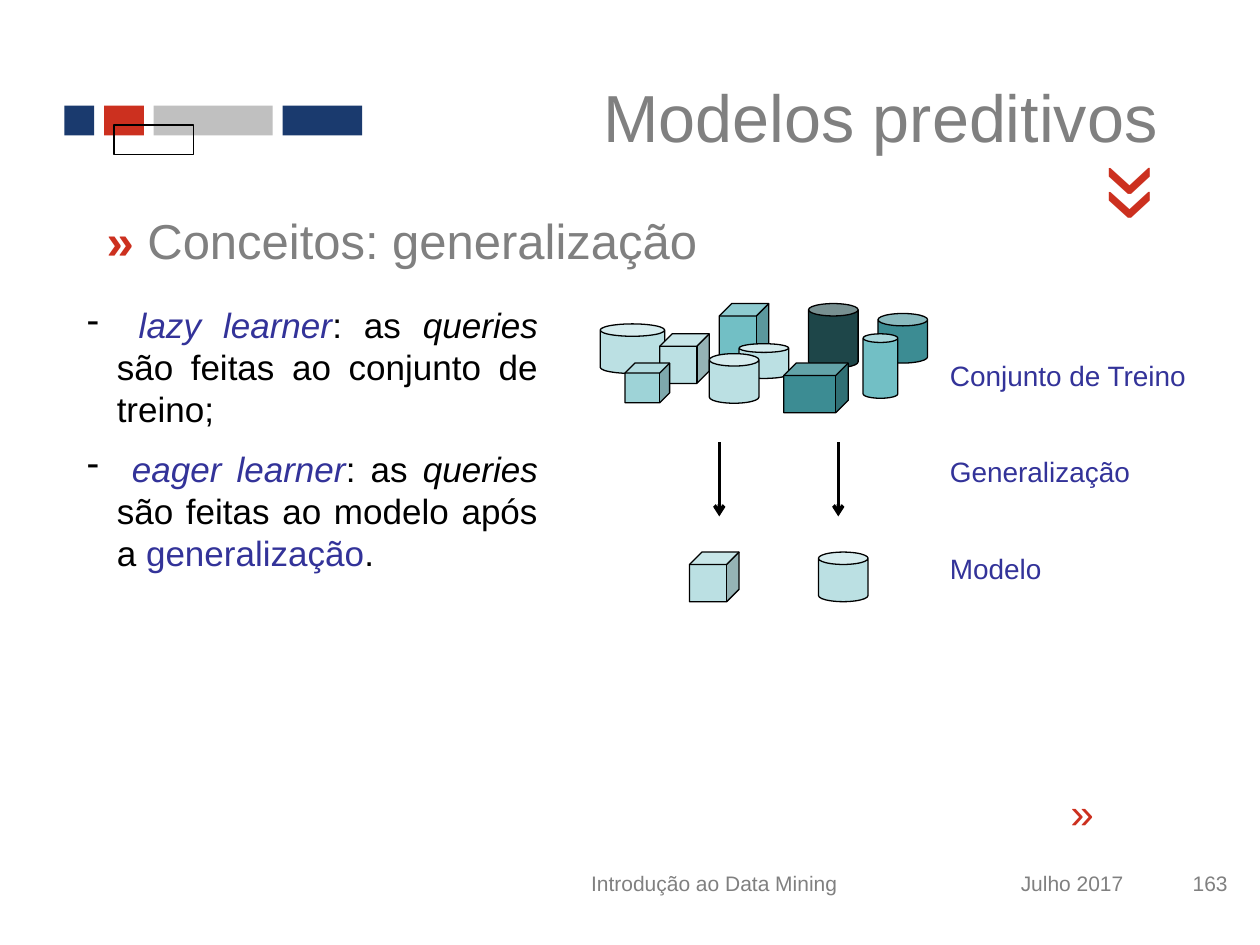
from dataclasses import dataclass, field

from lxml.etree import SubElement
from pptx import Presentation
from pptx.dml.color import RGBColor
from pptx.enum.shapes import MSO_CONNECTOR, MSO_SHAPE as Shape
from pptx.enum.text import MSO_ANCHOR as Anchor, MSO_AUTO_SIZE as AutoSize, PP_ALIGN as Align
from pptx.oxml.ns import qn
from pptx.util import Cm, Pt

COLORS = {
    "navy": "1A3A6E", "red": "CC301F", "silver": "C0C0C0", "gray": "808080",
    "black": "000000", "indigo": "333399", "pale": "BBE0E3", "light": "9ED3D7",
    "aqua": "72BFC5", "teal": "3C8C93", "dark": "1E4649",
}


@dataclass
class Block:
    """A filled or outlined preset shape, in centimetres."""
    left: float
    top: float
    width: float
    height: float
    fill: str | None
    kind: Shape = Shape.RECTANGLE
    outlined: bool = True


@dataclass
class Span:
    """A run of text with its format values."""
    text: str
    color: str = "gray"
    fmt: dict = field(default_factory=dict)


@dataclass
class Label:
    """A text with its place in centimetres; each paragraph is a list of spans."""
    left: float
    top: float
    width: float
    height: float
    size: float
    paragraphs: list[list[Span]]
    align: Align = Align.LEFT
    anchor: Anchor = Anchor.TOP
    rotation: float = 0
    gap: float = 0
    dash: bool = False


def rgb(name: str) -> RGBColor:
    return RGBColor.from_string(COLORS[name])


def draw_block(shapes, b: Block) -> None:
    s = shapes.add_shape(b.kind, Cm(b.left), Cm(b.top), Cm(b.width), Cm(b.height))
    s.shadow.inherit = False
    if b.fill:
        s.fill.solid()
        s.fill.fore_color.rgb = rgb(b.fill)
    else:
        s.fill.background()
    if b.outlined:
        s.line.color.rgb = rgb("black")
        s.line.width = Pt(0.75)
    else:
        s.line.fill.background()


def add_dash(p) -> None:
    pPr = p._p.get_or_add_pPr()
    pPr.set("marL", str(Cm(0.6)))
    pPr.set("indent", str(Cm(-0.6)))
    SubElement(pPr, qn("a:buFontTx"))
    SubElement(pPr, qn("a:buChar"), char="-")


def write_label(sp, label: Label) -> None:
    place = {"left": Cm(label.left), "top": Cm(label.top), "width": Cm(label.width),
             "height": Cm(label.height), "rotation": label.rotation}
    for name, value in place.items():
        setattr(sp, name, value)
    tf = sp.text_frame
    frame = {"word_wrap": True, "auto_size": AutoSize.NONE, "vertical_anchor": label.anchor}
    for name, value in frame.items():
        setattr(tf, name, value)
    for i, spans in enumerate(label.paragraphs):
        p = tf.add_paragraph() if i else tf.paragraphs[0]
        p.alignment = label.align
        p.space_before = Pt(label.gap if i else 0)
        if label.dash:
            add_dash(p)
        for span in spans:
            r = p.add_run()
            r.text = span.text
            r.font.color.rgb = rgb(span.color)
            values = {"name": "Arial", "size": Pt(label.size), "bold": False, **span.fmt}
            for name, value in values.items():
                setattr(r.font, name, value)


def add_label(shapes, label: Label) -> None:
    write_label(shapes.add_textbox(0, 0, 0, 0), label)


def draw_arrow(shapes, x: float, top: float, bottom: float) -> None:
    c = shapes.add_connector(MSO_CONNECTOR.STRAIGHT, Cm(x), Cm(top), Cm(x), Cm(bottom))
    c.line.color.rgb = rgb("black")
    c.line.width = Pt(2)
    SubElement(c.line._get_or_add_ln(), qn("a:tailEnd"), type="arrow")
    SubElement(c._element.spPr, qn("a:effectLst"))


def learner(name: str, rest: list[Span]) -> list[Span]:
    italic = {"italic": True}
    return [Span(" ", "black"), Span(name, "indigo", italic), Span(": as ", "black"),
            Span("queries", "black", italic), *rest]


BARS = [
    Block(1.3, 2.13, 0.6, 0.6, "navy", outlined=False),
    Block(2.1, 2.13, 0.8, 0.6, "red", outlined=False),
    Block(3.1, 2.13, 2.4, 0.6, "silver", outlined=False),
    Block(5.7, 2.13, 1.6, 0.6, "navy", outlined=False),
    Block(2.3, 2.52, 1.6, 0.6, None),
]
TRAINING_SET = [
    Block(12.1, 6.53, 1.3, 1, "pale", Shape.CAN),
    Block(14.5, 6.12, 1, 1.3, "aqua", Shape.CUBE),
    Block(13.3, 6.73, 1, 1, "pale", Shape.CUBE),
    Block(12.6, 7.32, 0.9, 0.8, "light", Shape.CUBE),
    Block(17.7, 6.32, 1, 1, "teal", Shape.CAN),
    Block(16.3, 6.12, 1, 1.3, "dark", Shape.CAN),
    Block(14.9, 6.93, 1, 0.7, "pale", Shape.CAN),
    Block(17.4, 6.73, 0.7, 1.3, "aqua", Shape.CAN),
    Block(15.8, 7.32, 1.3, 1, "teal", Shape.CUBE),
    Block(14.3, 7.13, 1, 1, "pale", Shape.CAN),
]
MODELS = [
    Block(13.9, 11.13, 1, 1, "pale", Shape.CUBE),
    Block(16.5, 11.13, 1, 1, "pale", Shape.CAN),
]

TITLE = Label(7.7, 1.15, 15.9, 2.36, 38, [[Span("Modelos preditivos")]],
              Align.RIGHT, Anchor.MIDDLE)
LEARNERS = Label(1.5, 6, 9.6, 4.95, 20, [
    learner("lazy learner", [Span(" são feitas ao conjunto de treino;", "black")]),
    learner("eager learner", [Span(" são feitas ao modelo após a ", "black"),
                              Span("generalização", "indigo"), Span(".", "black")]),
], Align.JUSTIFY, gap=10, dash=True)
STEPS = ["Conjunto de Treino", "Generalização", "Modelo"]
LABELS = [
    # Chevrons
    Label(21, 15.95, 1.3, 1.27, 24, [[Span("«", "red")]], rotation=180),
    Label(21.8, 2.63, 1.4, 2.8, 60, [[Span("«", "red")]], rotation=270),
    # Subtitle
    Label(1.9, 4.11, 21.4, 1.45, 28,
          [[Span("» ", "red", {"bold": True}), Span("Conceitos: generalização")]]),
    # Footer
    Label(18.3, 17.1, 4.6, 1.4, 12, [[Span("Julho 2017")]], Align.RIGHT, Anchor.MIDDLE),
    Label(23, 17.1, 2, 1.4, 12, [[Span("163")]], Align.RIGHT, Anchor.MIDDLE),
    Label(10.5, 17.1, 7.8, 1.4, 12, [[Span("Introdução ao Data Mining")]],
          Align.CENTER, Anchor.MIDDLE),
    # Diagram steps
    Label(18.9, 7.1, 5.4, 5.05, 16, [[Span(step, "indigo")] for step in STEPS],
          Align.JUSTIFY, gap=36),
]


def main() -> None:
    prs = Presentation()
    prs.slide_width, prs.slide_height = Cm(25.4), Cm(19.05)
    slide = prs.slides.add_slide(prs.slide_layouts[1])
    shapes = slide.shapes

    # Title and list
    write_label(shapes.title, TITLE)
    write_label(slide.placeholders[1], LEARNERS)

    # Bars, training set and models
    group = shapes.add_group_shape()
    for target, blocks in ((shapes, BARS), (group.shapes, TRAINING_SET), (shapes, MODELS)):
        for block in blocks:
            draw_block(target, block)

    # Generalization arrows
    for x in (14.5, 16.9):
        draw_arrow(shapes, x, 8.92, 10.41)

    # Remaining texts
    for label in LABELS:
        add_label(shapes, label)

    prs.save("out.pptx")


if __name__ == "__main__":
    main()
